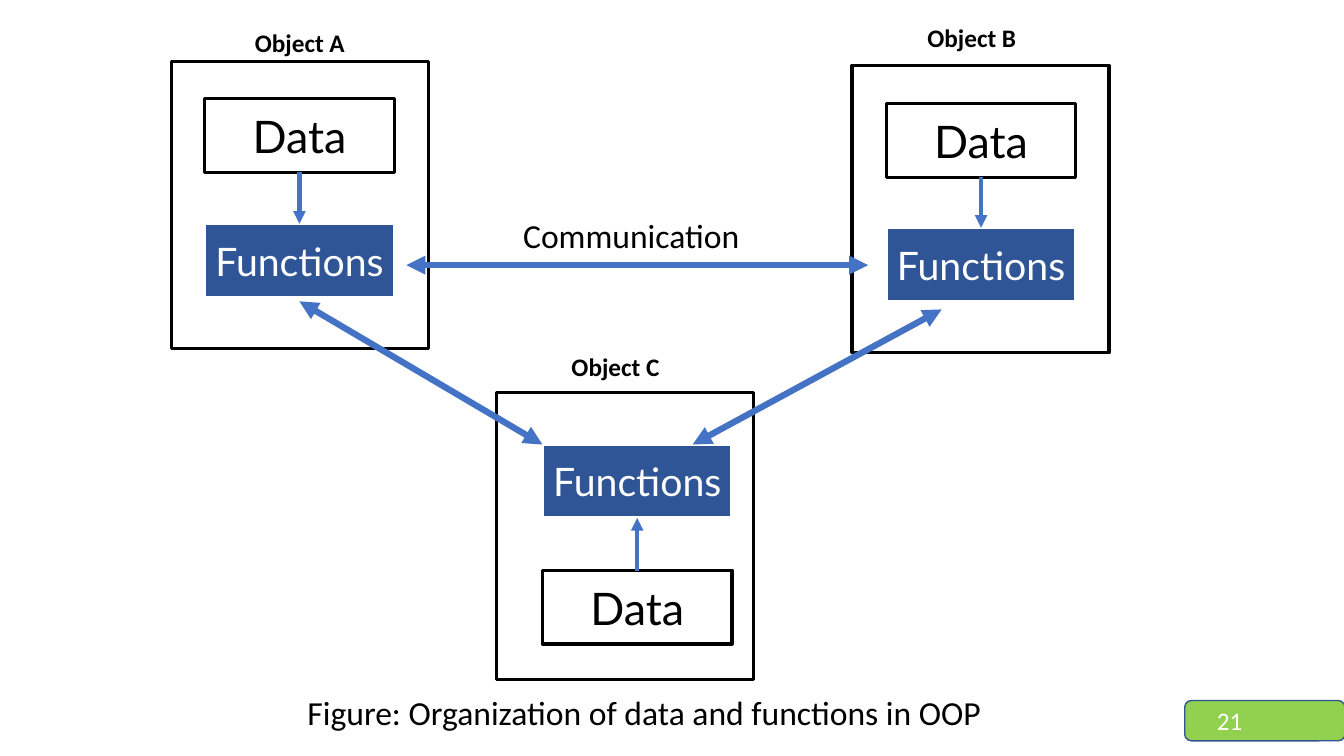
"""Build the slide on how objects in OOP organise data and functions."""
from lxml import etree
from pptx import Presentation
from pptx.dml.color import RGBColor
from pptx.enum.shapes import MSO_CONNECTOR as Link, MSO_SHAPE as Preset
from pptx.enum.text import MSO_ANCHOR as Anchor, PP_ALIGN as Align
from pptx.oxml.ns import qn
from pptx.util import Inches, Pt

BLACK, WHITE, NAVY, BLUE = "000000", "FFFFFF", "2F5597", "4472C4"
FRAME_SIZE = (2.55, 2.85)
PART_SIZE = (1.88, 0.73)
LABEL_SIZE = (1.26, 0.4)

OBJECTS = [
    {"name": "Object A", "label": (2.43, 0.22), "frame": (1.7, 0.61),
     "data": (2.03, 0.98), "functions": (2.03, 2.22)},
    {"name": "Object B", "label": (9.1, 0.17), "frame": (8.45, 0.65),
     "data": (8.79, 1.03), "functions": (8.79, 2.26)},
    {"name": "Object C", "label": (5.57, 3.44), "frame": (4.92, 3.89),
     "data": (5.38, 5.66), "functions": (5.38, 4.41)},
]
PART_STYLES = {
    "data": ("Data", None, BLACK, {"size": 32, "color": BLACK}),
    "functions": ("Functions", NAVY, WHITE, {"size": 28, "color": WHITE}),
}
MESSAGES = [((4.03, 2.63), (8.61, 2.63)),
            ((2.97, 2.99), (5.38, 4.41)),
            ((9.34, 3.07), (6.87, 4.41))]
CAPTIONS = [
    ("Communication", (5.09, 2.08, 3.03, 0.5), Align.LEFT, Anchor.TOP,
     {"size": 24, "color": BLACK}),
    ("Figure: Organization of data and functions in OOP",
     (2.42, 6.82, 7.94, 0.5), Align.CENTER, Anchor.TOP,
     {"size": 24, "color": BLACK}),
    ("21", (9.42, 6.95, 3, 0.4), Align.RIGHT, Anchor.MIDDLE,
     {"size": 18, "color": WHITE}),
]
PAGE_BADGE = (11.75, 6.95, 1.59, 0.4)


def rgb(code):
    """Turn a hex string into a colour."""
    return RGBColor.from_string(code)


def write(shape, text, align, anchor, size, color, face="Calibri", bold=False):
    """Put one formatted line of text in a shape."""
    frame = shape.text_frame
    frame.word_wrap = True
    frame.vertical_anchor = anchor
    paragraph = frame.paragraphs[0]
    paragraph.alignment = align
    run = paragraph.add_run()
    run.text = text
    for key, value in {"name": face, "size": Pt(size), "bold": bold}.items():
        setattr(run.font, key, value)
    run.font.color.rgb = rgb(color)


def add_box(slide, preset, box, fill, outline, weight):
    """Add a preset shape with an optional fill."""
    shape = slide.shapes.add_shape(preset, *map(Inches, box))
    shape.shadow.inherit = False
    if fill:
        shape.fill.solid()
        shape.fill.fore_color.rgb = rgb(fill)
    else:
        shape.fill.background()
    shape.line.color.rgb = rgb(outline)
    shape.line.width = Pt(weight)
    return shape


def add_part(slide, kind, place):
    """Add the data or functions box of an object."""
    text, fill, outline, style = PART_STYLES[kind]
    part = add_box(slide, Preset.RECTANGLE, place + PART_SIZE, fill, outline, 2.25)
    for side in ("margin_left", "margin_right"):
        setattr(part.text_frame, side, 0)
    write(part, text, Align.CENTER, Anchor.MIDDLE, face="Lato", **style)


def add_text(slide, text, box, align, anchor, style):
    """Add a text box."""
    caption = slide.shapes.add_textbox(*map(Inches, box))
    write(caption, text, align, anchor, **style)


def add_arrow(slide, start, end, weight, ends):
    """Add a straight arrow with triangles at the given ends."""
    arrow = slide.shapes.add_connector(Link.STRAIGHT, *map(Inches, start + end))
    arrow.line.color.rgb = rgb(BLUE)
    arrow.line.width = Pt(weight)
    outline = arrow.line._get_or_add_ln()
    for tag in ends:
        etree.SubElement(outline, qn(tag), type="triangle")
    etree.SubElement(arrow._element.spPr, qn("a:effectLst"))


def add_inner_arrow(slide, data, functions):
    """Join the facing edges of the data and functions boxes."""
    width, height = PART_SIZE
    middle = data[0] + width / 2
    below = data[1] < functions[1]
    start = data[1] + (height if below else 0)
    end = functions[1] + (0 if below else height)
    add_arrow(slide, (middle, start), (middle, end), 3, ["a:tailEnd"])


def main():
    """Build and save the slide."""
    deck = Presentation()
    deck.slide_width, deck.slide_height = Inches(13.33), Inches(7.5)
    slide = deck.slides.add_slide(deck.slide_layouts[6])

    add_box(slide, Preset.ROUNDED_RECTANGLE, PAGE_BADGE, "92D050", "325491", 1)
    for item in OBJECTS:
        add_box(slide, Preset.RECTANGLE, item["frame"] + FRAME_SIZE, None, BLACK, 2.25)
        for kind in PART_STYLES:
            add_part(slide, kind, item[kind])
        add_text(slide, item["name"], item["label"] + LABEL_SIZE, Align.LEFT,
                 Anchor.TOP, {"size": 18, "color": BLACK, "bold": True})
    for start, end in MESSAGES:
        add_arrow(slide, start, end, 4.5, ["a:headEnd", "a:tailEnd"])
    for caption in CAPTIONS:
        add_text(slide, *caption)
    for item in OBJECTS:
        add_inner_arrow(slide, item["data"], item["functions"])

    deck.save("out.pptx")


if __name__ == "__main__":
    main()
